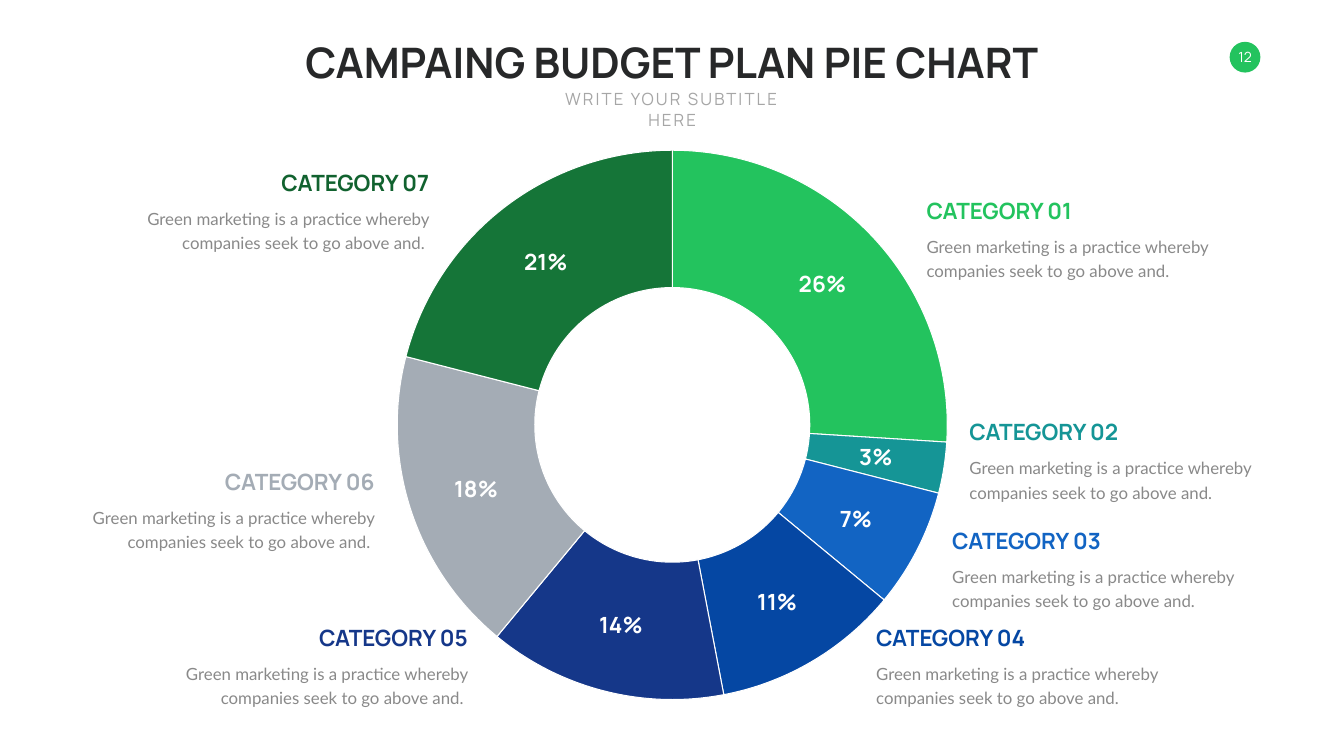
from lxml import etree
from pptx import Presentation
from pptx.chart.data import CategoryChartData
from pptx.dml.color import RGBColor
from pptx.enum.chart import XL_CHART_TYPE as ChartType
from pptx.enum.shapes import MSO_SHAPE as Preset
from pptx.enum.text import MSO_ANCHOR as Anchor, PP_ALIGN as Align
from pptx.oxml import parse_xml
from pptx.oxml.ns import nsdecls, qn
from pptx.util import Inches, Pt

COLORS = {
    "title": "272829", "subtitle": "A6A6A6", "body": "898989",
    "white": "FFFFFF", "badge": "23C35E",
}
BLURB = "Green marketing is a practice whereby companies seek to go above and."

# name, value, slice colour, heading colour, side, text edge and top (% of slide)
CATEGORIES = [
    ("CATEGORY 01", 26, "23C35E", "23C35E", "right", 68.57, 25.67),
    ("CATEGORY 02", 3, "159596", "159596", "right", 71.76, 55),
    ("CATEGORY 03", 7, "1264C3", "1264C3", "right", 70.48, 69.33),
    ("CATEGORY 04", 11, "0547A3", "0547A3", "right", 64.82, 82.2),
    ("CATEGORY 05", 14, "153789", "153789", "left", 35.18, 82.2),
    ("CATEGORY 06", 18, "A4ACB5", "A4ACB5", "left", 28.24, 61.53),
    ("CATEGORY 07", 21, "157538", "11622F", "left", 32.3, 22),
]

deck = Presentation()
deck.slide_width, deck.slide_height = Inches(26.66), Inches(15)
slide = deck.slides.add_slide(deck.slide_layouts[5])
shapes = slide.shapes


def area(left, top, width, height):
    """Turn percentages of the slide into a position and size."""
    column, row = deck.slide_width / 100, deck.slide_height / 100
    return [int(v) for v in (left * column, top * row, width * column, height * row)]


def write(shape, text, size, color, align, font="Manrope", bold=False, anchor=Anchor.TOP):
    """Set and format the single paragraph of a shape."""
    frame = shape.text_frame
    frame.text = text
    frame.word_wrap = True
    frame.vertical_anchor = anchor
    paragraph = frame.paragraphs[0]
    paragraph.alignment = align
    style = paragraph.runs[0].font
    style.name, style.size, style.bold = font, Pt(size), bold
    style.color.rgb = RGBColor.from_string(color)
    return paragraph


# Page number
badge = shapes.add_shape(Preset.OVAL, *area(91.49, 5.53, 2.29, 4.07))
badge.shadow.inherit = False
badge.fill.solid()
badge.fill.fore_color.rgb = RGBColor.from_string(COLORS["badge"])
badge.line.fill.background()
write(badge, "12", 20, COLORS["white"], Align.CENTER, anchor=Anchor.MIDDLE)
badge_text = badge.text_frame
badge_text.word_wrap = False
badge_text.margin_left = badge_text.margin_right = 0
badge_text.margin_top = badge_text.margin_bottom = 0

# Budget doughnut
budget = CategoryChartData()
budget.categories = [str(n) for n in range(1, len(CATEGORIES) + 1)]
budget.add_series("Series 1", [category[1] for category in CATEGORIES])
chart = shapes.add_chart(ChartType.DOUGHNUT, *area(29.52, 19.8, 41, 72.8), budget).chart
chart.has_legend = False
chart.has_title = False
plot = chart.plots[0]
plot.vary_by_categories = True
plot.has_data_labels = True
labels = plot.data_labels
labels.show_percentage, labels.show_value = True, False
labels.number_format, labels.number_format_is_linked = "0%", False
for style in (chart.font, labels.font):
    style.name, style.size, style.bold = "Manrope", Pt(32), True
    style.color.rgb = RGBColor.from_string(COLORS["white"])
for number, category in enumerate(CATEGORIES):
    part = plot.series[0].points[number].format
    part.fill.solid()
    part.fill.fore_color.rgb = RGBColor.from_string(category[2])
    part.line.color.rgb = RGBColor.from_string(COLORS["white"])
    part.line.width = Pt(1.5)

# Hole size, and a plot that fills the whole chart frame
plot_area = chart.element.find(".//" + qn("c:plotArea"))
plot_area.find(".//" + qn("c:holeSize")).set("val", "60")
for old_layout in plot_area.findall(qn("c:layout")):
    plot_area.remove(old_layout)
layout = parse_xml(f"<c:layout {nsdecls('c')}><c:manualLayout/></c:layout>")
for tag, value in (("layoutTarget", "inner"), ("xMode", "edge"), ("yMode", "edge"),
                   ("x", "0"), ("y", "0"), ("w", "1"), ("h", "1")):
    etree.SubElement(layout[0], qn("c:" + tag)).set("val", value)
plot_area.insert(0, layout)

# Title and subtitle
title = shapes.title
title.left, title.top, title.width, title.height = area(21.27, 4.47, 57.43, 7.4)
write(title, "CAMPAING BUDGET PLAN PIE CHART", 60, COLORS["title"], Align.CENTER, bold=True)
subtitle = shapes.add_textbox(*area(39.83, 11.47, 20.37, 3.33))
line = write(subtitle, "WRITE YOUR SUBTITLE HERE", 24, COLORS["subtitle"], Align.CENTER)
line.runs[0].font._element.set("spc", "300")

# Category headings and descriptions
HEADING_WIDTH, BODY_WIDTH, BODY_OFFSET = 12.57, 22.02, 4.67
for name, _, _, color, side, edge, top in CATEGORIES:
    on_left = side == "left"
    align = Align.RIGHT if on_left else Align.LEFT
    heading = shapes.add_textbox(*area(edge - HEADING_WIDTH * on_left, top, HEADING_WIDTH, 4.27))
    write(heading, name, 32, color, align, bold=True, anchor=Anchor.MIDDLE)
    body = shapes.add_textbox(
        *area(edge - BODY_WIDTH * on_left, top + BODY_OFFSET, BODY_WIDTH, 6.87))
    text = BLURB + " " if on_left else BLURB
    write(body, text, 24, COLORS["body"], align, font="Lato").line_spacing = Pt(35)

deck.save("out.pptx")
